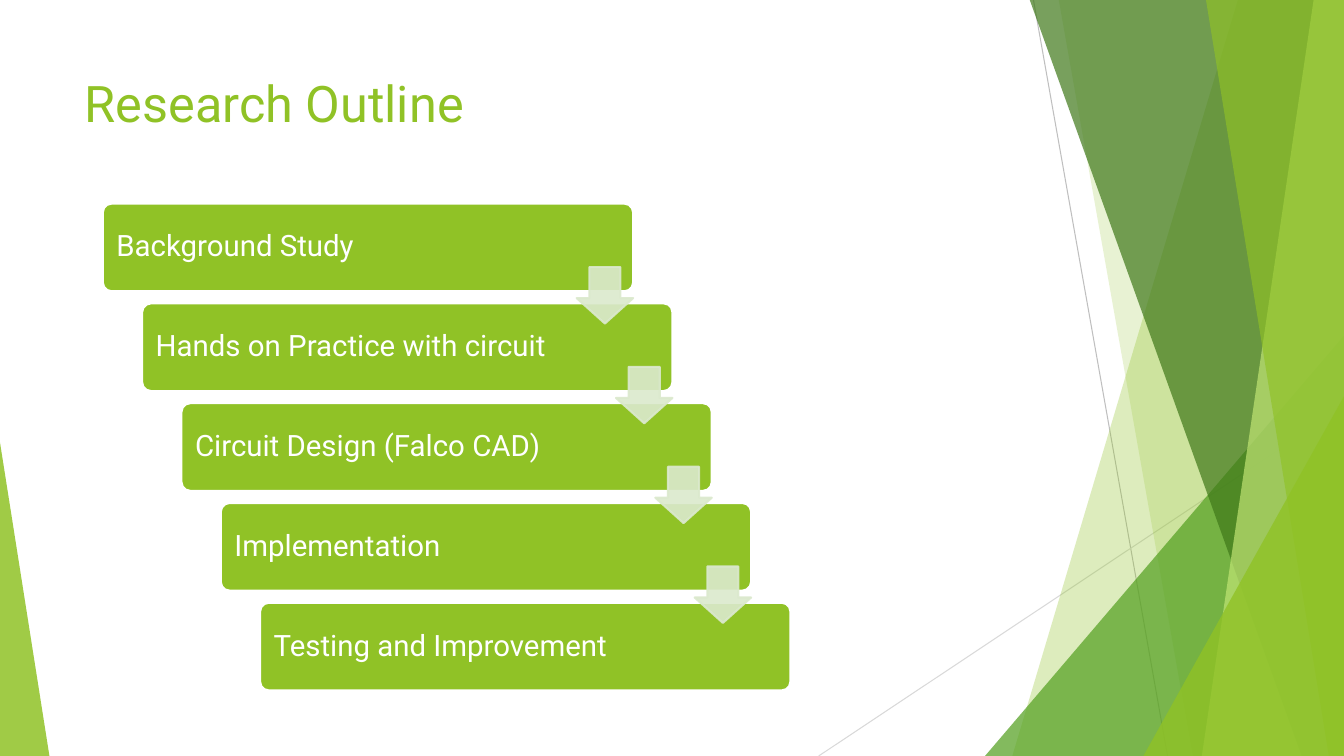
from lxml import etree
from pptx import Presentation, util as u
from pptx.dml.color import RGBColor
from pptx.enum import shapes, text
from pptx.oxml.ns import qn

FONT = "Roboto"
GREEN = "90C226"
WHITE = "FFFFFF"
ARROW = "DBE9CD"
TOP, BOTTOM, RIGHT = -0.01, 7.5, 13.33
STEPS = [
    "Background Study",
    "Hands on Practice with circuit",
    "Circuit Design (Falco CAD)",
    "Implementation",
    "Testing and Improvement",
]
STEP_X, STEP_Y = 0.39, 0.99


def color(value):
    """Turn a hex string into a colour."""
    return RGBColor.from_string(value)


def paint(shape, fill, opacity=100, line=None):
    """Set fill, outline and opacity, without a shadow."""
    shape.shadow.inherit = False
    shape.fill.solid()
    shape.fill.fore_color.rgb = color(fill)
    if line:
        shape.line.color.rgb = color(line)
        shape.line.width = u.Pt(1.5)
    else:
        shape.line.fill.background()
    if opacity < 100:
        for node in shape.element.spPr.iter(qn("a:srgbClr")):
            etree.SubElement(node, qn("a:alpha")).set("val", str(opacity * 1000))


def add_preset(slide, kind, box, adjustments):
    """Add a preset shape with its adjustments."""
    shape = slide.shapes.add_shape(kind, *map(u.Inches, box))
    for index, value in enumerate(adjustments):
        shape.adjustments[index] = value
    return shape


def add_line(slide, start, end, line):
    """Add a thin straight line."""
    connector = slide.shapes.add_connector(
        shapes.MSO_CONNECTOR.STRAIGHT, *map(u.Inches, start + end))
    connector.line.color.rgb = color(line)
    connector.line.width = u.Pt(0.75)
    etree.SubElement(connector.element.spPr, qn("a:effectLst"))


def add_band(slide, top_x, bottom_x, fill, opacity):
    """Add a band from a slanted left edge to the right slide edge."""
    corners = [(top_x, TOP), (RIGHT, TOP), (RIGHT, BOTTOM), (bottom_x, BOTTOM)]
    points = [(u.Inches(x), u.Inches(y)) for x, y in corners]
    builder = slide.shapes.build_freeform(*points[0])
    builder.add_line_segments(points[1:], close=True)
    paint(builder.convert_to_shape(), fill, opacity)


def add_triangle(slide, box, apex, fill, opacity):
    """Add a right triangle with its apex at one side."""
    triangle = add_preset(slide, shapes.MSO_SHAPE.ISOSCELES_TRIANGLE, box, [apex])
    paint(triangle, fill, opacity)


def add_backdrop(slide):
    """Draw the translucent facets and lines at the slide edges."""
    add_line(slide, (10.25, 0), (11.58, BOTTOM), "BFBFBF")
    add_line(slide, (RIGHT, 4.03), (8.12, BOTTOM), "D9D9D9")
    add_band(slide, 12.28, 10.04, GREEN, 30)
    add_band(slide, 10.5, 11.83, GREEN, 20)
    add_triangle(slide, (9.77, 3.33, 3.56, 4.17), 1, "54A021", 72)
    add_band(slide, 10.21, 12.91, "3F7819", 70)
    add_band(slide, 13.03, 11.92, "C0E474", 70)
    add_band(slide, 11.96, 13.18, GREEN, 65)
    add_triangle(slide, (11.34, 3.93, 1.99, 3.57), 1, GREEN, 80)
    add_triangle(slide, (0, 4.39, 0.49, 3.11), 0, GREEN, 85)


def write(frame, words, size, font_color, anchor):
    """Write one left-aligned run into a text frame."""
    frame.word_wrap = True
    frame.auto_size = text.MSO_AUTO_SIZE.NONE
    frame.vertical_anchor = anchor
    paragraph = frame.paragraphs[0]
    paragraph.alignment = text.PP_ALIGN.LEFT
    run = paragraph.add_run()
    run.text = words
    run.font.name = FONT
    run.font.size = u.Pt(size)
    run.font.color.rgb = color(font_color)
    return paragraph


def add_title(slide, words):
    """Place and fill the title placeholder."""
    title = slide.shapes.title
    title.left, title.top = u.Inches(0.74), u.Inches(0.67)
    title.width, title.height = u.Inches(9.4), u.Inches(1.44)
    write(title.text_frame, words, 36, GREEN, text.MSO_ANCHOR.TOP)


def add_step(slide, index, words):
    """Add one bar of the staircase."""
    box = (1.02 + index * STEP_X, 2.02 + index * STEP_Y, 5.26, 0.87)
    bar = add_preset(slide, shapes.MSO_SHAPE.ROUNDED_RECTANGLE, box, [0.1])
    paint(bar, GREEN, line=WHITE)
    bar.text_frame.margin_left = u.Inches(0.11)
    paragraph = write(bar.text_frame, words, 21, WHITE, text.MSO_ANCHOR.MIDDLE)
    paragraph.line_spacing = 0.9


def add_step_arrow(slide, index):
    """Add the arrow that leads from one bar to the next."""
    box = (5.72 + index * STEP_X, 2.65 + index * STEP_Y, 0.56, 0.56)
    arrow = add_preset(slide, shapes.MSO_SHAPE.DOWN_ARROW, box, [0.55, 0.45])
    paint(arrow, ARROW, 90, ARROW)


def main():
    """Build and save the slide."""
    presentation = Presentation()
    presentation.slide_width = u.Inches(RIGHT)
    presentation.slide_height = u.Inches(BOTTOM)
    slide = presentation.slides.add_slide(presentation.slide_layouts[5])
    add_backdrop(slide)
    add_title(slide, "Research Outline")
    for index, words in enumerate(STEPS):
        add_step(slide, index, words)
    for index in range(len(STEPS) - 1):
        add_step_arrow(slide, index)
    presentation.save("out.pptx")


if __name__ == "__main__":
    main()
